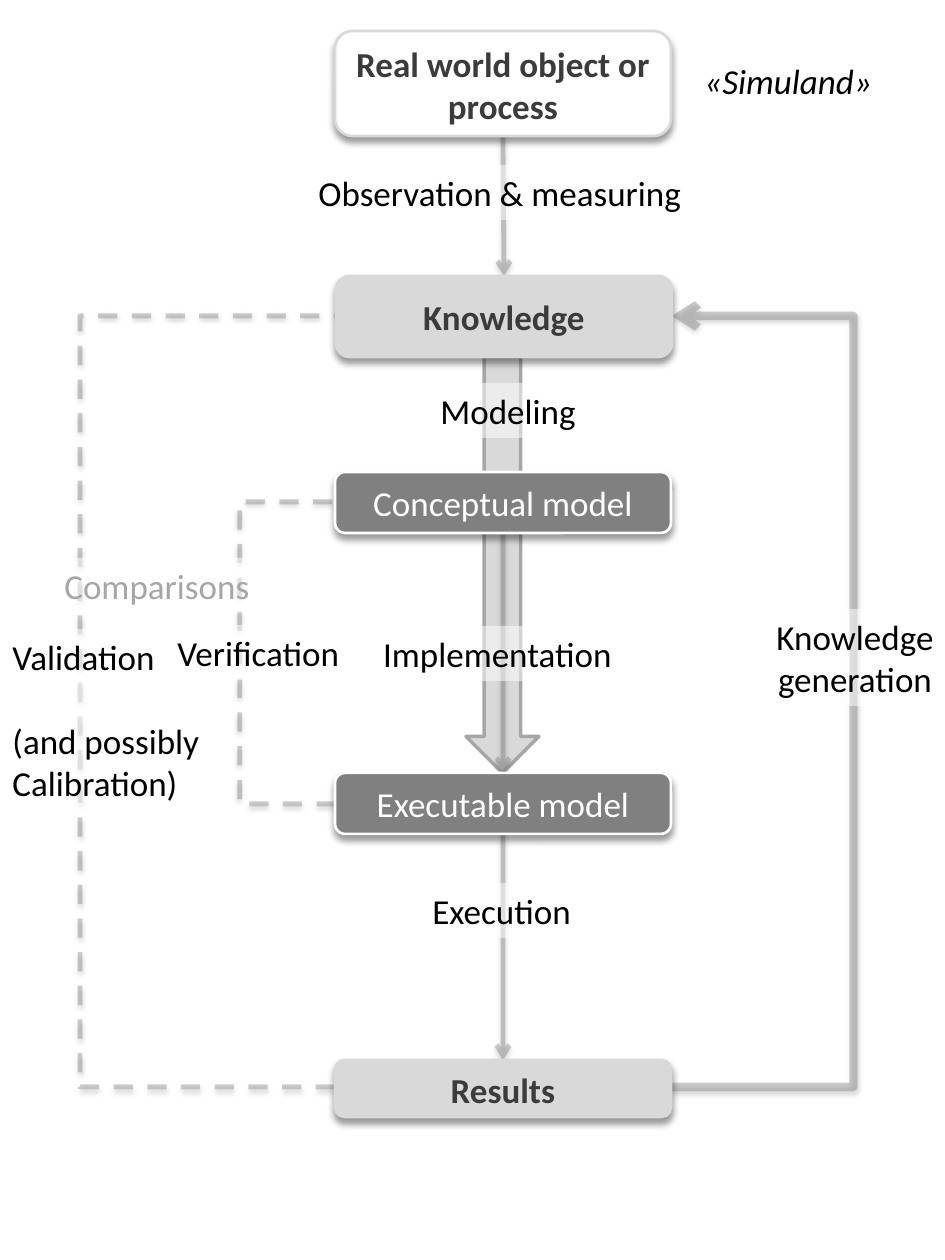
"""Build a flow diagram of the modelling and simulation process."""
from lxml import etree
from pptx import Presentation
from pptx.dml.color import RGBColor
from pptx.enum.dml import MSO_LINE
from pptx.enum.shapes import MSO_CONNECTOR, MSO_SHAPE
from pptx.enum.text import MSO_ANCHOR, MSO_AUTO_SIZE, PP_ALIGN
from pptx.oxml import parse_xml
from pptx.oxml.ns import qn
from pptx.util import Pt

PX = 914400 // 126
WHITE = RGBColor(0xFF, 0xFF, 0xFF)
BLACK = RGBColor(0, 0, 0)
INK = RGBColor(0x3B, 0x3B, 0x3B)
PALE = RGBColor(0xD9, 0xD9, 0xD9)
SILVER = RGBColor(0xA6, 0xA6, 0xA6)
GRAY = RGBColor(0x80, 0x80, 0x80)
STRAIGHT, ELBOW = MSO_CONNECTOR.STRAIGHT, MSO_CONNECTOR.ELBOW
SOLID, DASH = MSO_LINE.SOLID, MSO_LINE.DASH
LEFT, CENTER = PP_ALIGN.LEFT, PP_ALIGN.CENTER
TOP, MIDDLE = MSO_ANCHOR.TOP, MSO_ANCHOR.MIDDLE
GROW = MSO_AUTO_SIZE.SHAPE_TO_FIT_TEXT
DRAWINGML = "http://schemas.openxmlformats.org/drawingml/2006/main"


def add_shadow(target, opacity, blur, distance):
    target._element.spPr.append(parse_xml(
        f'<a:effectLst xmlns:a="{DRAWINGML}"><a:outerShdw blurRad="{Pt(blur)}" '
        f'dist="{Pt(distance)}" dir="5400000" rotWithShape="0"><a:srgbClr val="000000">'
        f'<a:alpha val="{opacity * 1000}"/></a:srgbClr></a:outerShdw></a:effectLst>'))


def write_text(frame, lines, color, align, bold=False, italic=False):
    frame.text = lines
    for paragraph in frame.paragraphs:
        paragraph.alignment = align
        font = paragraph.font
        font.name, font.size = "Calibri", Pt(20)
        font.bold, font.italic = bold, italic
        font.color.rgb = color


prs = Presentation()
prs.slide_width, prs.slide_height = 945 * PX, 1260 * PX
slide = prs.slides.add_slide(prs.slide_layouts[6])
shapes = slide.shapes

modeling_arrow = shapes.add_shape(MSO_SHAPE.DOWN_ARROW, 466 * PX, 357 * PX, 73 * PX, 416 * PX)
modeling_arrow.shadow.inherit = False
modeling_arrow.fill.solid()
modeling_arrow.fill.fore_color.rgb = PALE
modeling_arrow.line.color.rgb = SILVER
modeling_arrow.line.width = Pt(2)

flows = [
    (STRAIGHT, 503, 136, 504, 276, None, 2.75, SOLID, True),
    (STRAIGHT, 503, 533, 503, 773, None, 2.75, SOLID, True),
    (STRAIGHT, 503, 834, 503, 1060, None, 2.75, SOLID, True),
    (ELBOW, 335, 1087, 336, 316, 78, 2.75, DASH, False),
    (ELBOW, 336, 804, 335, 502, 239, 2.75, DASH, False),
    (ELBOW, 671, 1087, 672, 316, 855, 4.75, SOLID, True),
]
for kind, x1, y1, x2, y2, bend_x, width, dash, has_head in flows:
    flow = shapes.add_connector(kind, x1 * PX, y1 * PX, x2 * PX, y2 * PX)
    flow.line.color.rgb = GRAY
    flow.line.width = Pt(width)
    flow.line.dash_style = dash
    stroke = flow.line._ln
    etree.SubElement(stroke.find(".//" + qn("a:srgbClr")), qn("a:alpha"), val="40000")
    if has_head:
        etree.SubElement(stroke, qn("a:tailEnd"), type="arrow")
    if bend_x is not None:
        bend = round((bend_x - x1) / (x2 - x1) * 100000)
        guides = flow._element.spPr.find(qn("a:prstGeom")).get_or_add_avLst()
        etree.SubElement(guides, qn("a:gd"), name="adj1", fmla=f"val {bend}")
    add_shadow(flow, 38, 3.1, 1.6)

boxes = [
    ("Real world object or process", 335, 31, 105, WHITE, PALE, INK, TOP),
    ("Knowledge", 336, 276, 81, PALE, PALE, INK, MIDDLE),
    ("Conceptual model", 335, 472, 61, GRAY, WHITE, WHITE, MIDDLE),
    ("Executable model", 335, 773, 61, GRAY, WHITE, WHITE, MIDDLE),
    ("Results", 335, 1060, 57, PALE, PALE, INK, TOP),
]
for name, left, top, height, fill, edge, ink, anchor in boxes:
    box = shapes.add_shape(MSO_SHAPE.ROUNDED_RECTANGLE, left * PX, top * PX, 336 * PX, height * PX)
    box.fill.solid()
    box.fill.fore_color.rgb = fill
    box.line.color.rgb = edge
    box.line.width = Pt(1.5)
    add_shadow(box, 40, 4, 3)
    box.text_frame.vertical_anchor = anchor
    write_text(box.text_frame, name, ink, CENTER, bold=ink == INK)

labels = [
    ("Observation & measuring", 306, 165, 392, 55, BLACK, LEFT, False),
    ("Modeling", 428, 383, 163, 55, BLACK, LEFT, False),
    ("Implementation ", 369, 626, 265, 55, BLACK, CENTER, False),
    ("Execution", 420, 883, 165, 55, BLACK, LEFT, False),
    ("Validation\n\n(and possibly \nCalibration) ", 0, 629, 222, 183, BLACK, LEFT, False),
    ("Verification", 165, 625, 189, 55, BLACK, LEFT, False),
    ("Knowledge\ngeneration", 763, 609, 184, 97, BLACK, CENTER, False),
    ("«Simuland»", 692, 53, 195, 55, BLACK, LEFT, True),
    ("Comparisons", 52, 558, 212, 55, SILVER, LEFT, False),
]
for words, left, top, width, height, ink, align, italic in labels:
    label = shapes.add_textbox(left * PX, top * PX, width * PX, height * PX)
    label.fill.solid()
    label.fill.fore_color.rgb = WHITE
    veil = label._element.spPr.find(".//" + qn("a:srgbClr"))
    etree.SubElement(veil, qn("a:alpha"), val="52000")
    label.text_frame.word_wrap = False
    label.text_frame.auto_size = GROW
    write_text(label.text_frame, words, ink, align, italic=italic)

prs.save("out.pptx")
